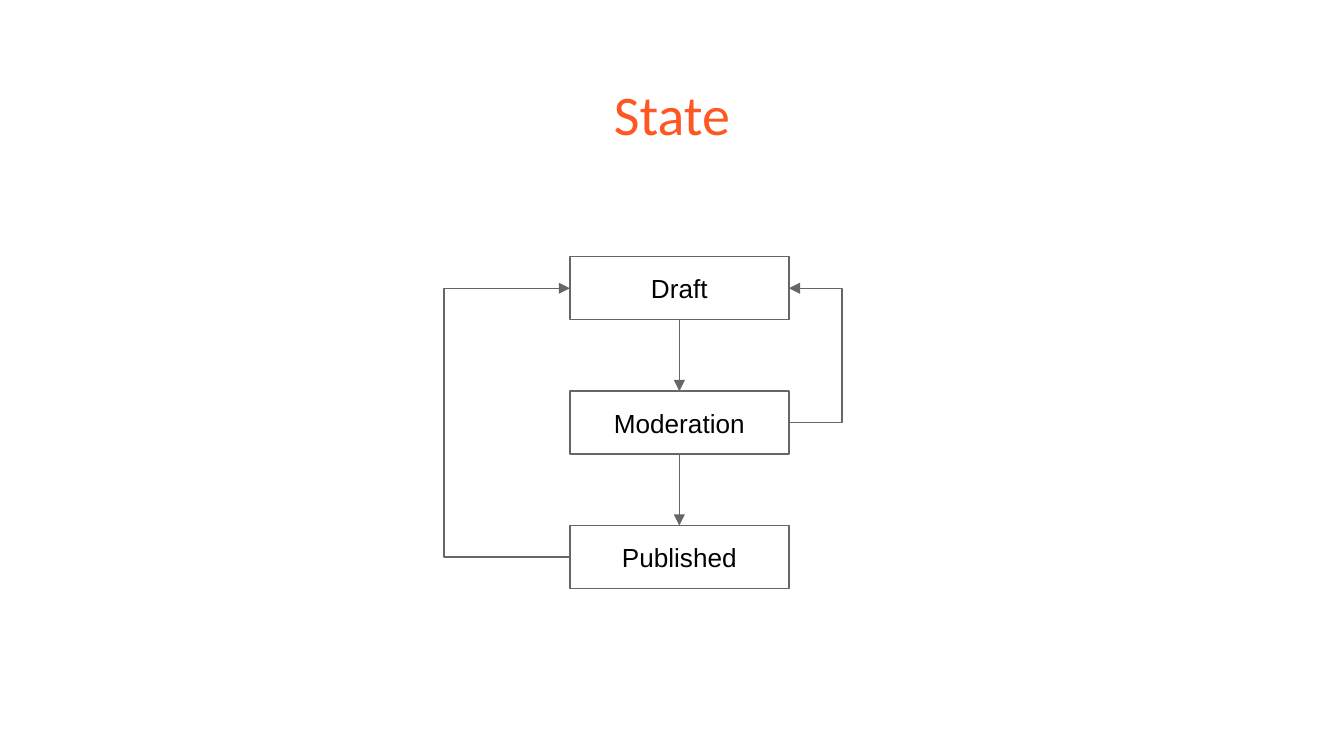
from lxml import etree
from pptx import Presentation
from pptx import util as u
from pptx.dml.color import RGBColor
from pptx.enum import shapes, text
from pptx.oxml.ns import qn

# Content
TITLE = "State"
STATES = ["Draft", "Moderation", "Published"]
STEPS = [("Draft", "Moderation"), ("Moderation", "Published")]
# from, to, connection site (1 left, 3 right), sideways reach in inches
RETURNS = [("Published", "Draft", 1, -0.78), ("Moderation", "Draft", 3, 0.33)]

# Layout in inches
SLIDE_W = 10
SLIDE_H = SLIDE_W * 9 / 16
BOX_LEFT, BOX_TOP, BOX_W, BOX_H = 4.24, 1.91, 1.63, 0.47
ROW_PITCH = 1.0
BEND_BASE = 600  # EMU: nominal width on which the bend is scaled
ORANGE, GREY, BLACK = "FF5722", "666666", "000000"


def color(value):
    return RGBColor.from_string(value)


def write(shape, words, font, size, ink, anchor):
    frame = shape.text_frame
    frame.text = words
    frame.word_wrap = True
    frame.auto_size = text.MSO_AUTO_SIZE.NONE
    frame.vertical_anchor = anchor
    frame.margin_left = frame.margin_right = u.Inches(0.1)
    frame.margin_top = frame.margin_bottom = u.Inches(0.1)
    paragraph = frame.paragraphs[0]
    paragraph.alignment = text.PP_ALIGN.CENTER
    paragraph.font.name = font
    paragraph.font.size = u.Pt(size)
    paragraph.font.color.rgb = color(ink)


def outline(shape):
    shape.line.color.rgb = color(GREY)
    shape.line.width = u.Pt(0.75)


def arrow(slide, kind, start, start_site, end, end_site):
    link = slide.shapes.add_connector(kind, 0, 0, 0, 0)
    link.begin_connect(start, start_site)
    link.end_connect(end, end_site)
    outline(link)
    etree.SubElement(link.line._get_or_add_ln(), qn("a:tailEnd"), type="triangle")
    etree.SubElement(link._element.spPr, qn("a:effectLst"))
    return link


def bend(link, reach):
    """Send the connector out sideways by reach before it turns back."""
    link.width = BEND_BASE
    xfrm = link._element.spPr.xfrm
    xfrm.rot, xfrm.flipH, xfrm.flipV = 180, True, False
    guides = link._element.spPr.find(qn("a:prstGeom")).get_or_add_avLst()
    share = round(u.Inches(reach) / BEND_BASE * 100000)
    etree.SubElement(guides, qn("a:gd"), name="adj1", fmla=f"val {share}")


def main():
    deck = Presentation()
    deck.slide_width, deck.slide_height = u.Inches(SLIDE_W), u.Inches(SLIDE_H)
    slide = deck.slides.add_slide(deck.slide_layouts[5])

    # Title
    title = slide.shapes.title
    title.left, title.top = u.Inches(0.34), u.Inches(0.49)
    title.width, title.height = u.Inches(9.32), u.Inches(0.63)
    write(title, TITLE, "Calibri", 30, ORANGE, text.MSO_ANCHOR.TOP)

    # State boxes
    boxes = {}
    for row, state in enumerate(STATES):
        box = slide.shapes.add_shape(
            shapes.MSO_SHAPE.RECTANGLE,
            u.Inches(BOX_LEFT), u.Inches(BOX_TOP + row * ROW_PITCH),
            u.Inches(BOX_W), u.Inches(BOX_H))
        box.shadow.inherit = False
        box.fill.background()
        outline(box)
        write(box, state, "Arial", 14, BLACK, text.MSO_ANCHOR.MIDDLE)
        boxes[state] = box

    # Steps forward
    for source, target in STEPS:
        arrow(slide, shapes.MSO_CONNECTOR.STRAIGHT, boxes[source], 2, boxes[target], 0)

    # Returns to draft
    for source, target, side, reach in RETURNS:
        link = arrow(slide, shapes.MSO_CONNECTOR.ELBOW,
                     boxes[source], side, boxes[target], side)
        bend(link, reach)

    deck.save("out.pptx")


if __name__ == "__main__":
    main()
